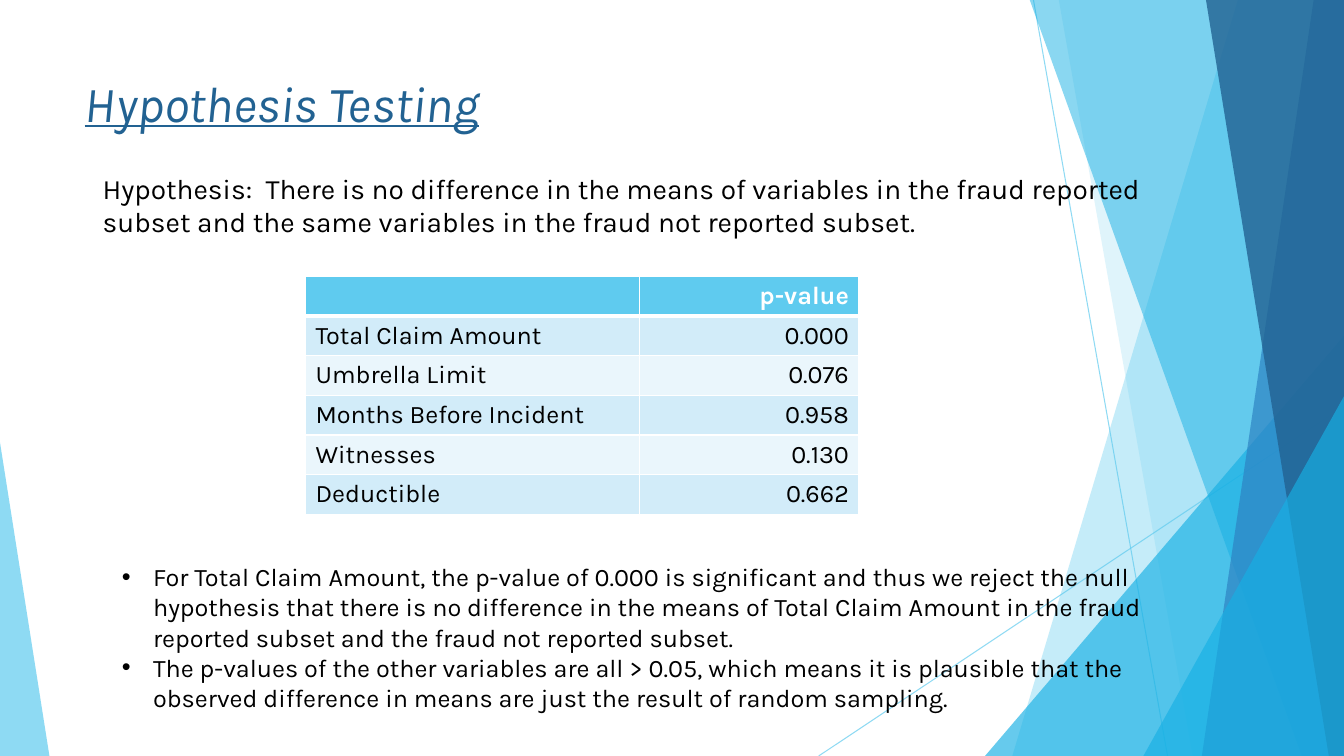
from dataclasses import dataclass

from lxml import etree
from pptx import Presentation
from pptx.dml.color import RGBColor
from pptx.enum.shapes import MSO_CONNECTOR, MSO_SHAPE
from pptx.enum.text import MSO_ANCHOR, MSO_AUTO_SIZE, PP_ALIGN
from pptx.oxml.ns import qn
from pptx.util import Pt

PX = 9144  # EMU per px, 100 px to the inch
SLIDE_W, SLIDE_H = 1333, 750
TITLE_ONLY = 5
FONT = "Karla"

STRAIGHT = MSO_CONNECTOR.STRAIGHT
TRIANGLE = MSO_SHAPE.ISOSCELES_TRIANGLE
TOP = MSO_ANCHOR.TOP
GROW, NO_FIT = MSO_AUTO_SIZE.SHAPE_TO_FIT_TEXT, MSO_AUTO_SIZE.NONE
LEFT, RIGHT = PP_ALIGN.LEFT, PP_ALIGN.RIGHT

WHITE = RGBColor(0xFF, 0xFF, 0xFF)
BLACK = RGBColor(0x00, 0x00, 0x00)
SKY = RGBColor(0x5F, 0xCB, 0xEF)
CYAN = RGBColor(0x17, 0xB0, 0xE4)
BLUE = RGBColor(0x2E, 0x83, 0xC3)
NAVY = RGBColor(0x22, 0x62, 0x92)
ROW_TINTS = (RGBColor(0xD2, 0xEC, 0xF9), RGBColor(0xEA, 0xF6, 0xFC))


@dataclass(frozen=True)
class Ray:
    """Thin line crossing the facets."""
    x1: int
    y1: int
    x2: int
    y2: int


@dataclass(frozen=True)
class Band:
    """Facet of full height that reaches the right edge of the slide."""
    top_x: int
    bottom_x: int
    color: RGBColor
    opacity: int


@dataclass(frozen=True)
class Corner:
    """Right triangle standing on the bottom edge; apex 0 is left, 1 is right."""
    left: int
    top: int
    width: int
    apex: int
    color: RGBColor
    opacity: int


RAYS = (Ray(1025, 0, 1158, 750), Ray(1333, 403, 812, 750))
FACETS = (
    Band(1228, 1004, SKY, 36),
    Band(1050, 1183, SKY, 20),
    Corner(977, 333, 356, 1, CYAN, 66),
    Band(1021, 1291, CYAN, 50),
    Band(1303, 1192, BLUE, 70),
    Band(1196, 1318, NAVY, 80),
    Corner(1134, 393, 199, 1, CYAN, 66),
    Corner(0, 439, 49, 0, SKY, 70),
)

TITLE = "Hypothesis Testing"
HYPOTHESIS = ("Hypothesis:  There is no difference in the means of variables in the fraud "
              "reported subset and the same variables in the fraud not reported subset.")
P_VALUES = (
    ("", "p-value"),
    ("Total Claim Amount", "0.000"),
    ("Umbrella Limit", "0.076"),
    ("Months Before Incident", "0.958"),
    ("Witnesses", "0.130"),
    ("Deductible", "0.662"),
)
COLUMN_WIDTHS = (331, 218)
ROW_HEIGHT = 39
FINDINGS = (
    "For Total Claim Amount, the p-value of 0.000 is significant and thus we reject the null "
    "hypothesis that there is no difference in the means of Total Claim Amount in the fraud "
    "reported subset and the fraud not reported subset.",
    "The p-values of the other variables are all > 0.05, which means it is plausible that the "
    "observed difference in means are just the result of random sampling.",
)


def set_opacity(fill, percent: int) -> None:
    color = fill.find(".//" + qn("a:srgbClr"))
    etree.SubElement(color, qn("a:alpha"), val=str(percent * 1000))


def set_font(paragraph, size: int, color: RGBColor, bold: bool = False) -> None:
    font = paragraph.font
    font.name, font.size, font.bold = FONT, Pt(size), bold
    font.color.rgb = color


def draw_ray(slide, ray: Ray) -> None:
    line = slide.shapes.add_connector(
        STRAIGHT, ray.x1 * PX, ray.y1 * PX, ray.x2 * PX, ray.y2 * PX)
    line.line.color.rgb = SKY
    line.line.width = Pt(0.75)
    properties = line._element.spPr
    set_opacity(properties, 70)
    etree.SubElement(properties, qn("a:effectLst"))


def draw_facet(slide, facet: Band | Corner) -> None:
    if isinstance(facet, Band):
        outline = slide.shapes.build_freeform(facet.top_x, -1, scale=PX)
        outline.add_line_segments(
            [(SLIDE_W, -1), (SLIDE_W, SLIDE_H), (facet.bottom_x, SLIDE_H)], close=True)
        shape = outline.convert_to_shape()
    else:
        shape = slide.shapes.add_shape(
            TRIANGLE, facet.left * PX, facet.top * PX,
            facet.width * PX, (SLIDE_H - facet.top) * PX)
        shape.adjustments[0] = facet.apex
    shape.shadow.inherit = False
    shape.line.fill.background()
    shape.fill.solid()
    shape.fill.fore_color.rgb = facet.color
    set_opacity(shape._element.spPr, facet.opacity)


def write_title(slide) -> None:
    title = slide.shapes.title
    title.left, title.top, title.width, title.height = 74 * PX, 67 * PX, 940 * PX, 144 * PX
    frame = title.text_frame
    frame.text = TITLE
    frame.vertical_anchor, frame.auto_size = TOP, NO_FIT
    heading = frame.paragraphs[0]
    heading.alignment = LEFT
    set_font(heading, 36, NAVY)
    heading.font.italic = heading.font.underline = True


def add_text(slide, left: int, top: int, width: int, height: int,
             lines: tuple[str, ...], size: int, bulleted: bool = False) -> None:
    box = slide.shapes.add_textbox(left * PX, top * PX, width * PX, height * PX)
    frame = box.text_frame
    frame.word_wrap, frame.auto_size = True, GROW
    frame.text = "\n".join(lines)
    for paragraph in frame.paragraphs:
        set_font(paragraph, size, BLACK)
        if bulleted:
            properties = paragraph._p.get_or_add_pPr()
            properties.set("marL", str(31 * PX))
            properties.set("indent", str(-31 * PX))
            bullet_font = etree.Element(qn("a:buFont"), typeface="Arial")
            properties.insert(0, bullet_font)
            bullet_font.addnext(etree.Element(qn("a:buChar"), char="•"))


def set_borders(cell, top: int, bottom: int) -> None:
    properties = cell._tc.get_or_add_tcPr()
    for side, points in (("L", 1), ("R", 1), ("T", top), ("B", bottom)):
        edge = etree.SubElement(properties, qn(f"a:ln{side}"), w=str(Pt(points)))
        fill = etree.SubElement(edge, qn("a:solidFill"))
        etree.SubElement(fill, qn("a:srgbClr"), val=str(WHITE))


def add_p_value_table(slide) -> None:
    table = slide.shapes.add_table(
        len(P_VALUES), len(COLUMN_WIDTHS), 303 * PX, 274 * PX,
        sum(COLUMN_WIDTHS) * PX, len(P_VALUES) * ROW_HEIGHT * PX).table
    for column, width in zip(table.columns, COLUMN_WIDTHS):
        column.width = width * PX
    for r, row in enumerate(P_VALUES):
        header = r == 0
        for c, text in enumerate(row):
            cell = table.cell(r, c)
            cell.text = text
            # A thick rule separates the header from the body
            set_borders(cell, top=3 if r == 1 else 1, bottom=3 if header else 1)
            cell.fill.solid()
            cell.fill.fore_color.rgb = SKY if header else ROW_TINTS[(r - 1) % 2]
            paragraph = cell.text_frame.paragraphs[0]
            paragraph.alignment = RIGHT if c else LEFT
            set_font(paragraph, 18, WHITE if header else BLACK, bold=header)


def main() -> None:
    deck = Presentation()
    deck.slide_width, deck.slide_height = SLIDE_W * PX, SLIDE_H * PX
    slide = deck.slides.add_slide(deck.slide_layouts[TITLE_ONLY])

    # Faceted backdrop
    for ray in RAYS:
        draw_ray(slide, ray)
    for facet in FACETS:
        draw_facet(slide, facet)

    # Content
    write_title(slide)
    add_p_value_table(slide)
    add_text(slide, 92, 165, 1117, 77, (HYPOTHESIS,), 20)
    add_text(slide, 111, 552, 1052, 192, FINDINGS, 18, bulleted=True)

    deck.save("out.pptx")


if __name__ == "__main__":
    main()
